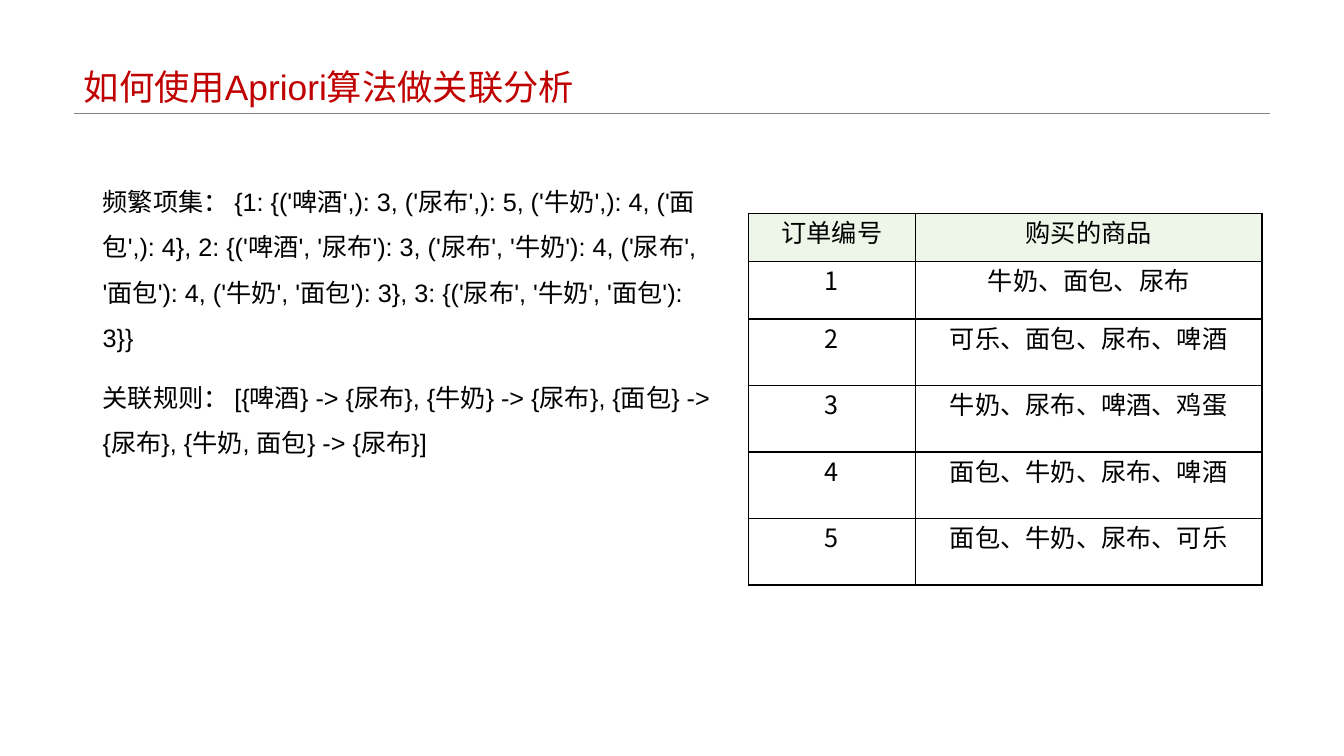
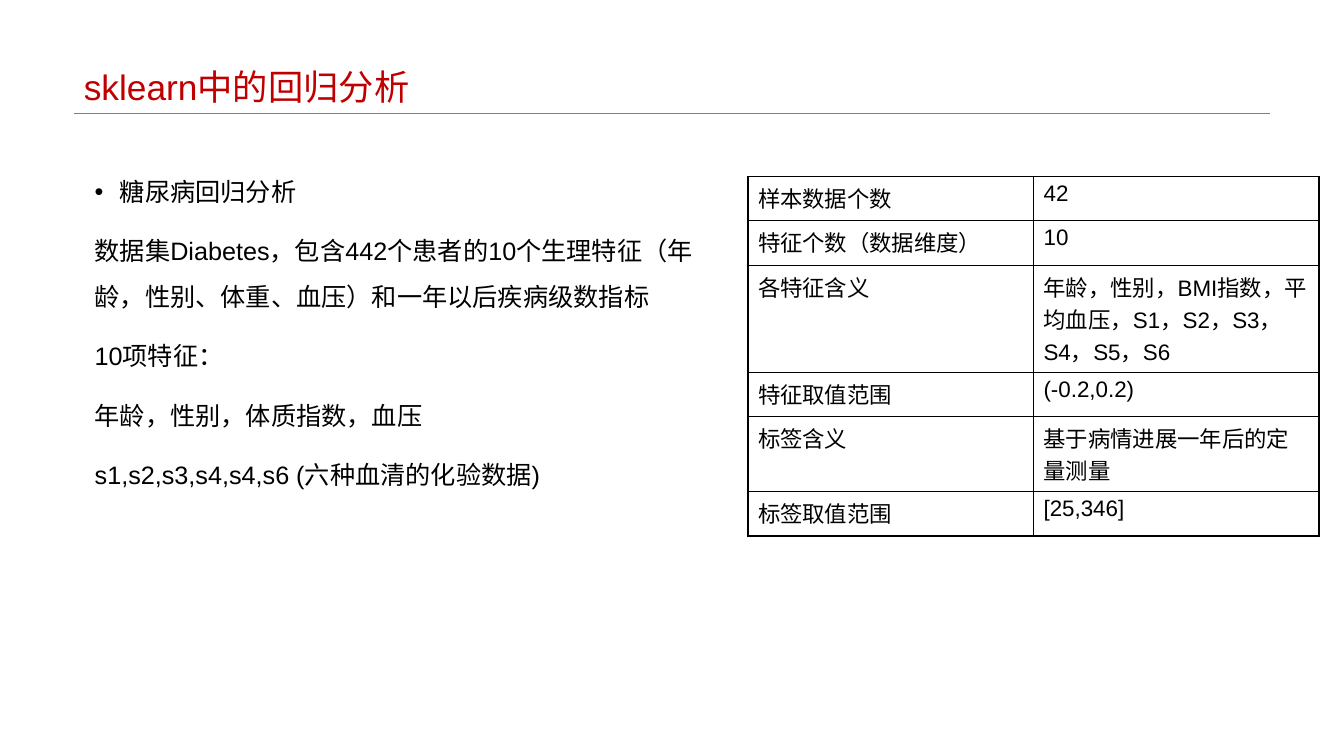
from lxml.etree import SubElement
from pptx import Presentation
from pptx.dml.color import RGBColor
from pptx.enum.shapes import MSO_CONNECTOR as Connector
from pptx.enum.text import MSO_ANCHOR as Anchor, PP_ALIGN as Align
from pptx.oxml import parse_xml
from pptx.oxml.ns import nsdecls, qn
from pptx.util import Inches, Pt

RED = RGBColor(0xC0, 0x00, 0x00)
BLACK = RGBColor(0x00, 0x00, 0x00)
GRAY = RGBColor(0x80, 0x80, 0x80)
PALE_GREEN = RGBColor(0xED, 0xF6, 0xE8)
LATIN, CHINESE = "Arial", "Noto Sans CJK SC"


def write(paragraph, text, size=18, color=BLACK, font=LATIN, align=Align.LEFT,
          spacing=None, before=None, bullet=False):
    paragraph.alignment = align
    if spacing:
        paragraph.line_spacing = spacing
    if before:
        paragraph.space_before = Pt(before)
    if bullet:
        properties = paragraph._p.get_or_add_pPr()
        properties.set("marL", str(Inches(0.25)))
        properties.set("indent", str(-Inches(0.25)))
        SubElement(properties, qn("a:buFont")).set("typeface", LATIN)
        SubElement(properties, qn("a:buChar")).set("char", "•")
    run = paragraph.add_run()
    run.text = text
    run.font.size = Pt(size)
    run.font.name = font
    run.font.color.rgb = color
    SubElement(run._r.get_or_add_rPr(), qn("a:ea")).set("typeface", CHINESE)


class Deck:
    LEFT, WIDTH, TITLE_BOTTOM = 5.5, 89, 14.95

    def __init__(self):
        self.show = Presentation()
        self.show.slide_width = Inches(13.33)
        self.show.slide_height = Inches(7.5)
        self.slide = None

    def x(self, percent):
        return round(self.show.slide_width * percent / 100)

    def y(self, percent):
        return round(self.show.slide_height * percent / 100)

    def new_slide(self, title):
        self.slide = self.show.slides.add_slide(self.show.slide_layouts[6])
        self.rule(self.LEFT, self.LEFT + self.WIDTH, self.TITLE_BOTTOM)
        frame = self.text_frame(self.LEFT, 0, self.WIDTH, self.TITLE_BOTTOM)
        frame.vertical_anchor = Anchor.BOTTOM
        write(frame.paragraphs[0], title, size=25.2, color=RED, spacing=0.9)

    def rule(self, start, end, row):
        line = self.slide.shapes.add_connector(
            Connector.STRAIGHT, self.x(start), self.y(row), self.x(end), self.y(row))
        line.line.color.rgb = GRAY
        line.line.width = Pt(0.25)
        SubElement(line._element.spPr, qn("a:effectLst"))

    def text_frame(self, left, top, width, height):
        box = self.slide.shapes.add_textbox(
            self.x(left), self.y(top), self.x(width), self.y(height))
        box.text_frame.word_wrap = True
        return box.text_frame

    def body(self, left, top, width, height, paragraphs, inset=None, bullets=0):
        frame = self.text_frame(left, top, width, height)
        if inset is not None:
            frame.margin_left = frame.margin_right = Inches(inset)
            frame.margin_top = frame.margin_bottom = Inches(inset)
        for index, text in enumerate(paragraphs):
            paragraph = frame.add_paragraph() if index else frame.paragraphs[0]
            write(paragraph, text, spacing=1.5, before=10, bullet=index < bullets)

    def table(self, left, top, columns, heights, rows, header=None, insets=None, **style):
        table = self.slide.shapes.add_table(
            len(rows), len(columns), self.x(left), self.y(top),
            self.x(sum(columns)), self.y(sum(heights))).table
        table.first_row = table.horz_banding = False
        for column, width in zip(table.columns, columns):
            column.width = self.x(width)
        for index, (row, height, texts) in enumerate(zip(table.rows, heights, rows)):
            row.height = self.y(height)
            for cell, text in zip(row.cells, texts):
                if insets:
                    cell.margin_left, cell.margin_top = map(Inches, insets)
                    cell.margin_right, cell.margin_bottom = map(Inches, insets)
                if header and index == 0:
                    cell.fill.solid()
                    cell.fill.fore_color.rgb = header
                else:
                    cell.fill.background()
                self.border(cell)
                write(cell.text_frame.paragraphs[0], text, **style)

    def border(self, cell):
        properties = cell._tc.get_or_add_tcPr()
        for index, side in enumerate("LRTB"):
            properties.insert(index, parse_xml(
                f'<a:ln{side} {nsdecls("a")} w="{Pt(1)}"><a:solidFill>'
                f'<a:srgbClr val="{BLACK}"/></a:solidFill></a:ln{side}>'))


def apriori_slide(deck):
    deck.new_slide("如何使用Apriori算法做关联分析")
    deck.body(6.9, 22, 47.03, 72.13, [
        "频繁项集： {1: {('啤酒',): 3, ('尿布',): 5, ('牛奶',): 4, ('面包',): 4}, "
        "2: {('啤酒', '尿布'): 3, ('尿布', '牛奶'): 4, ('尿布', '面包'): 4, "
        "('牛奶', '面包'): 3}, 3: {('尿布', '牛奶', '面包'): 3}}",
        "关联规则： [{啤酒} -> {尿布}, {牛奶} -> {尿布}, {面包} -> {尿布}, "
        "{牛奶, 面包} -> {尿布}]",
    ])
    orders = ["牛奶、面包、尿布", "可乐、面包、尿布、啤酒", "牛奶、尿布、啤酒、鸡蛋",
              "面包、牛奶、尿布、啤酒", "面包、牛奶、尿布、可乐"]
    rows = [("订单编号", "购买的商品")]
    rows += [(str(number), goods) for number, goods in enumerate(orders, 1)]
    deck.table(55.7, 28.2, [12.4, 25.8], [6.4, 7.6] + [8.8] * 4, rows,
               header=PALE_GREEN, insets=(0.01, 0), font=CHINESE, align=Align.CENTER)


def regression_slide(deck):
    deck.new_slide("sklearn中的回归分析")
    deck.body(6.67, 20.67, 46.9, 60.27, [
        "糖尿病回归分析",
        "数据集Diabetes，包含442个患者的10个生理特征（年龄，性别、体重、血压）和一年以后疾病级数指标",
        "10项特征：",
        "年龄，性别，体质指数，血压",
        "s1,s2,s3,s4,s4,s6 (六种血清的化验数据)",
    ], inset=0.05, bullets=1)
    facts = [
        ("样本数据个数", "42"),
        ("特征个数（数据维度）", "10"),
        ("各特征含义", "年龄，性别，BMI指数，平均血压，S1，S2，S3，S4，S5，S6"),
        ("特征取值范围", "(-0.2,0.2)"),
        ("标签含义", "基于病情进展一年后的定量测量"),
        ("标签取值范围", "[25,346]"),
    ]
    one_line, two_lines, three_lines = 5.87, 9.9, 14.2
    heights = [one_line, one_line, three_lines, one_line, two_lines, one_line]
    deck.table(55.65, 23.33, [21.25] * 2, heights, facts, size=16)


def main():
    deck = Deck()
    apriori_slide(deck)
    regression_slide(deck)
    deck.show.save("out.pptx")


if __name__ == "__main__":
    main()
